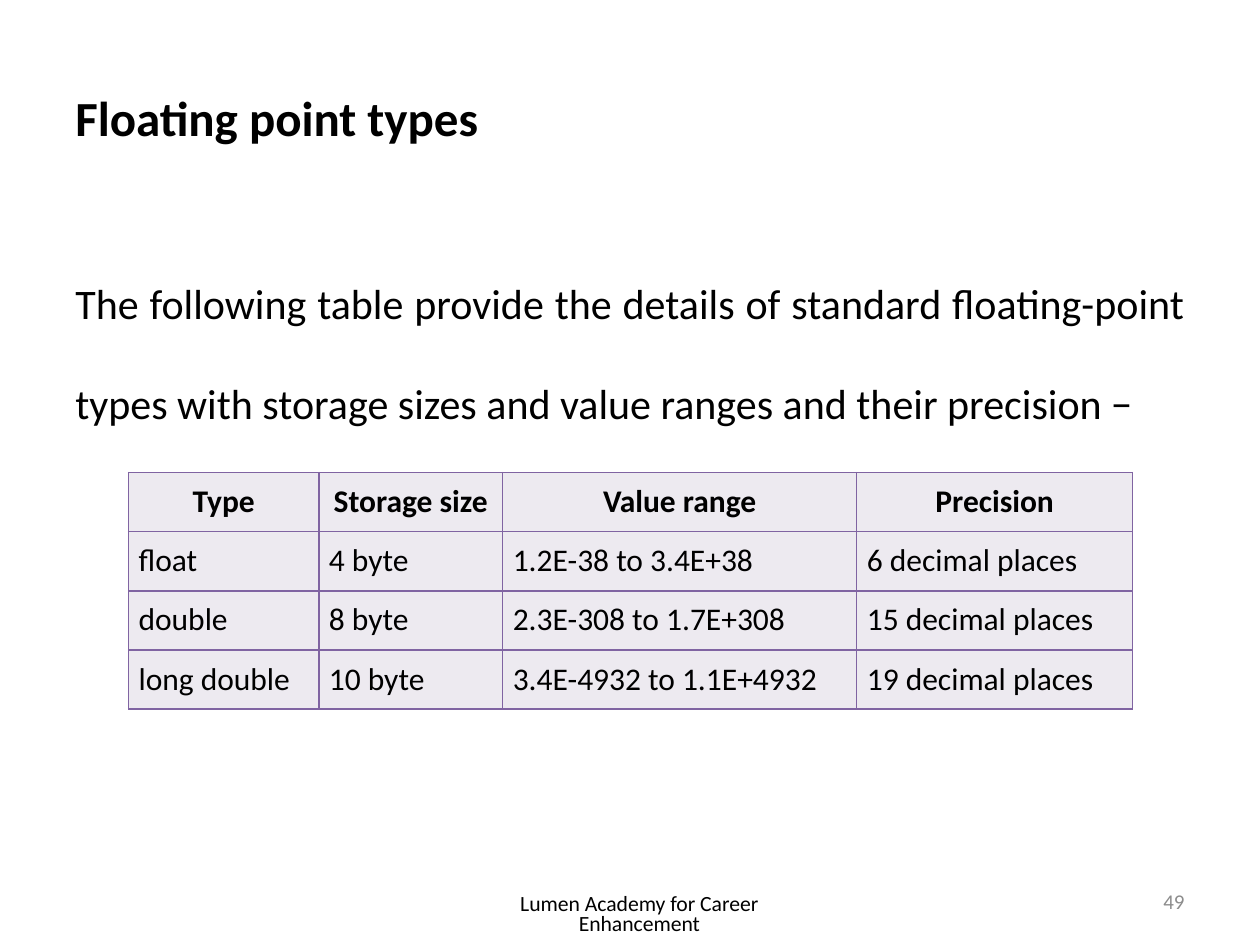
import lxml.etree
import pptx
import pptx.dml.color
import pptx.enum.text
import pptx.oxml.ns
import pptx.util

Inches = pptx.util.Inches
Pt = pptx.util.Pt
ALIGN = pptx.enum.text.PP_ALIGN
ANCHOR = pptx.enum.text.MSO_ANCHOR

BLACK = "000000"
GREY = "8C8C8C"
PURPLE = "8064A2"
LAVENDER = "EDEAF0"

COLUMN_WIDTHS = [1.51, 1.46, 2.81, 2.19]
FLOAT_TYPES = [
    ["Type", "Storage size", "Value range", "Precision"],
    ["float", "4 byte", "1.2E-38 to 3.4E+38", "6 decimal places"],
    ["double", "8 byte", "2.3E-308 to 1.7E+308", "15 decimal places"],
    ["long double", "10 byte", "3.4E-4932 to 1.1E+4932", "19 decimal places"],
]


def rgb(hex_color):
    return pptx.dml.color.RGBColor.from_string(hex_color)


def set_attributes(target, values):
    for name, value in values.items():
        setattr(target, name, value)


def write_text(frame, text, size, color=BLACK, bold=False, **paragraph_format):
    paragraph = frame.paragraphs[0]
    set_attributes(paragraph, paragraph_format)
    run = paragraph.add_run()
    run.text = text
    set_attributes(run.font, {"name": "Calibri", "size": Pt(size), "bold": bold})
    run.font.color.rgb = rgb(color)


def add_text_region(slide, box, text, size, anchor=ANCHOR.MIDDLE, **text_format):
    frame = slide.shapes.add_textbox(*map(Inches, box)).text_frame
    set_attributes(frame, {"word_wrap": True, "vertical_anchor": anchor})
    write_text(frame, text, size, **text_format)


def add_cell_borders(cell, color, width):
    properties = cell._tc.get_or_add_tcPr()
    qn = pptx.oxml.ns.qn
    for side in ("a:lnL", "a:lnR", "a:lnT", "a:lnB"):
        border = lxml.etree.SubElement(properties, qn(side), w=str(Pt(width)))
        fill = lxml.etree.SubElement(border, qn("a:solidFill"))
        lxml.etree.SubElement(fill, qn("a:srgbClr"), val=color)


def add_types_table(slide, box):
    row_count = len(FLOAT_TYPES)
    table = slide.shapes.add_table(
        row_count, len(COLUMN_WIDTHS), *map(Inches, box)
    ).table
    set_attributes(table, {"first_row": False, "horz_banding": False})
    for column, width in zip(table.columns, COLUMN_WIDTHS):
        column.width = Inches(width)
    margins = dict.fromkeys(
        ["margin_left", "margin_right", "margin_top", "margin_bottom"], Inches(0.08)
    )
    for row_index, values in enumerate(FLOAT_TYPES):
        table.rows[row_index].height = Inches(box[3] / row_count)
        is_header = row_index == 0
        for column_index, value in enumerate(values):
            cell = table.cell(row_index, column_index)
            set_attributes(cell, margins)
            add_cell_borders(cell, PURPLE, 1)
            cell.fill.solid()
            cell.fill.fore_color.rgb = rgb(LAVENDER)
            write_text(
                cell.text_frame, value, 18, bold=is_header,
                alignment=ALIGN.CENTER if is_header else ALIGN.LEFT,
            )


def add_footer(slide, box):
    left, top, width, height = box
    add_text_region(
        slide, (left, top + 0.08, 2.97, height - 0.08),
        "Lumen Academy for Career Enhancement", 12.4,
        alignment=ALIGN.CENTER, line_spacing=0.8,
    )
    number_width = 2.33
    add_text_region(
        slide, (left + width - number_width, top, number_width, 0.4),
        "49", 12, color=GREY, alignment=ALIGN.RIGHT,
    )


def main():
    presentation = pptx.Presentation()
    set_attributes(
        presentation, {"slide_width": Inches(10), "slide_height": Inches(7.5)}
    )
    slide = presentation.slides.add_slide(presentation.slide_layouts[6])
    add_text_region(slide, (0.5, 0.3, 9, 1.25), "Floating point types", 28, bold=True)
    add_text_region(
        slide, (0.5, 1.75, 9, 4.95),
        "The following table provide the details of standard floating-point types "
        "with storage sizes and value ranges and their precision −",
        24, anchor=ANCHOR.TOP, alignment=ALIGN.JUSTIFY, line_spacing=2.0,
    )
    add_types_table(slide, (1.02, 3.75, sum(COLUMN_WIDTHS), 1.88))
    add_footer(slide, (3.59, 6.95, 5.91, 0.55))
    presentation.save("out.pptx")


if __name__ == "__main__":
    main()
